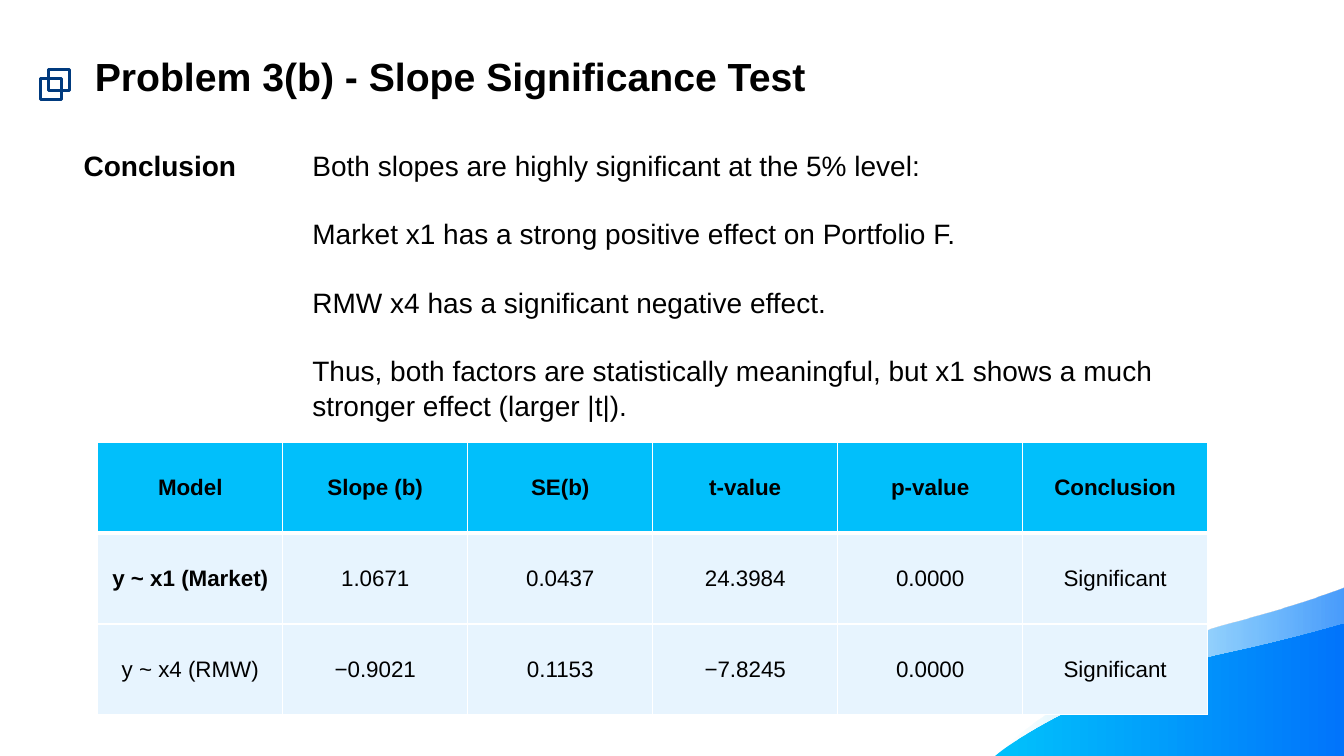
from lxml import etree
from pptx import Presentation
from pptx.dml.color import RGBColor
from pptx.enum.shapes import MSO_SHAPE
from pptx.enum.text import MSO_ANCHOR, MSO_AUTO_SIZE, PP_ALIGN
from pptx.oxml.ns import qn
from pptx.util import Pt

PX = 9144  # EMU per px, 100 px to the inch
LEFT, CENTER = PP_ALIGN.LEFT, PP_ALIGN.CENTER
MIDDLE, BOTTOM = MSO_ANCHOR.MIDDLE, MSO_ANCHOR.BOTTOM
NO_FIT, SQUARE = MSO_AUTO_SIZE.NONE, MSO_SHAPE.RECTANGLE
COLORS = {"text": "000000", "icon": "003A7E", "cyan": "01BFFB",
          "blue": "0174FB", "pale": "E7F4FE", "white": "FFFFFF"}


def rgb(name):
    return RGBColor.from_string(COLORS[name])


def format_text(tf, size, bold=False, align=LEFT):
    for p in tf.paragraphs:
        p.alignment = align
        for r in p.runs:
            r.font.name, r.font.size, r.font.bold = "Arial", Pt(size), bold
            r.font.color.rgb = rgb("text")


prs = Presentation()
prs.slide_width, prs.slide_height = 1333 * PX, 750 * PX
s = prs.slides.add_slide(prs.slide_layouts[5])

# Corner waves: each edge is two Bezier segments, closed at the corner
WAVES = [
    ([(1333, 583), (1302, 595), (1264, 607), (1218, 619),
      (1122, 645), (1013, 721), (987, 750)], (0, 72)),
    ([(1333, 619), (1302, 628), (1264, 638), (1218, 648),
      (1122, 668), (1013, 727), (987, 750)], (100, 100)),
]
STEPS = 24
for edge, opacities in WAVES:
    points = []
    for a, b, c, d in (edge[:4], edge[3:]):
        for i in range(1, STEPS + 1):
            t = i / STEPS
            u = 1 - t
            points.append([round(PX * (u**3 * a[k] + 3 * u * u * t * b[k]
                                       + 3 * u * t * t * c[k] + t**3 * d[k]))
                           for k in (0, 1)])
    builder = s.shapes.build_freeform(1333 * PX, 750 * PX)
    builder.add_line_segments([(edge[0][0] * PX, edge[0][1] * PX)] + points)
    sp = builder.convert_to_shape()
    sp.shadow.inherit = False
    sp.line.fill.background()
    sp.fill.gradient()
    sp.fill.gradient_angle = 0
    for stop, position, color, opacity in zip(
            sp.fill.gradient_stops, (0.04, 1), ("cyan", "blue"), opacities):
        stop.position = position
        stop.color.rgb = rgb(color)
    for clr, opacity in zip(sp._element.spPr.iter(qn("a:srgbClr")), opacities):
        etree.SubElement(clr, qn("a:alpha"), val=str(opacity * 1000))

# Icon of two overlapping squares
for x, y in ((40, 78), (48, 69)):
    sp = s.shapes.add_shape(SQUARE, x * PX, y * PX, 21 * PX, 21 * PX)
    sp.shadow.inherit = False
    sp.fill.background()
    sp.line.color.rgb = rgb("icon")
    sp.line.width = Pt(2.25)

# Title
title = s.shapes.title
title.left, title.top, title.width, title.height = (
    84 * PX, 47 * PX, 1188 * PX, 57 * PX)
tf = title.text_frame
tf.text = "Problem 3(b) - Slope Significance Test"
tf.auto_size, tf.vertical_anchor = NO_FIT, BOTTOM
format_text(tf, 28, bold=True)

# Conclusion label and statements
STATEMENTS = [
    "Both slopes are highly significant at the 5% level:",
    "Market x1 has a strong positive effect on Portfolio F.",
    "RMW x4 has a significant negative effect.",
    "Thus, both factors are statistically meaningful, but x1 shows a much "
    "stronger effect (larger |t|).",
]
for x, w, h, lines, bold in ((73, 382, 44, ["Conclusion"], True),
                             (300, 916, 294, STATEMENTS, False)):
    tf = s.shapes.add_textbox(x * PX, 141 * PX, w * PX, h * PX).text_frame
    tf.word_wrap = True
    tf.text = "\n".join(lines)
    format_text(tf, 20, bold)
    for i, p in enumerate(tf.paragraphs):
        p.line_spacing = 1.04
        if i:
            p.space_before = Pt(24)

# Results table
ROWS = [
    ["Model", "Slope (b)", "SE(b)", "t-value", "p-value", "Conclusion"],
    ["y ~ x1 (Market)", "1.0671", "0.0437", "24.3984", "0.0000", "Significant"],
    ["y ~ x4 (RMW)", "−0.9021", "0.1153", "−7.8245", "0.0000", "Significant"],
]
table = s.shapes.add_table(len(ROWS), len(ROWS[0]), 97 * PX, 439 * PX,
                           1101 * PX, 270 * PX).table
for i, row in enumerate(ROWS):
    for j, value in enumerate(row):
        cell = table.cell(i, j)
        cell.text = value
        cell.vertical_anchor = MIDDLE
        cell.margin_left = cell.margin_right = 0
        cell.margin_top = cell.margin_bottom = 0
        format_text(cell.text_frame, 16, i == 0 or (i, j) == (1, 0), CENTER)
        # Thin white borders, thicker below the header
        tcPr = cell._tc.get_or_add_tcPr()
        for side in "LRTB":
            thick = (i, side) in ((0, "B"), (1, "T"))
            ln = etree.SubElement(tcPr, qn("a:ln" + side),
                                  w=str(Pt(3 if thick else 1)))
            line_fill = etree.SubElement(ln, qn("a:solidFill"))
            etree.SubElement(line_fill, qn("a:srgbClr"), val=COLORS["white"])
        cell.fill.solid()
        cell.fill.fore_color.rgb = rgb("pale" if i else "cyan")

prs.save("out.pptx")
